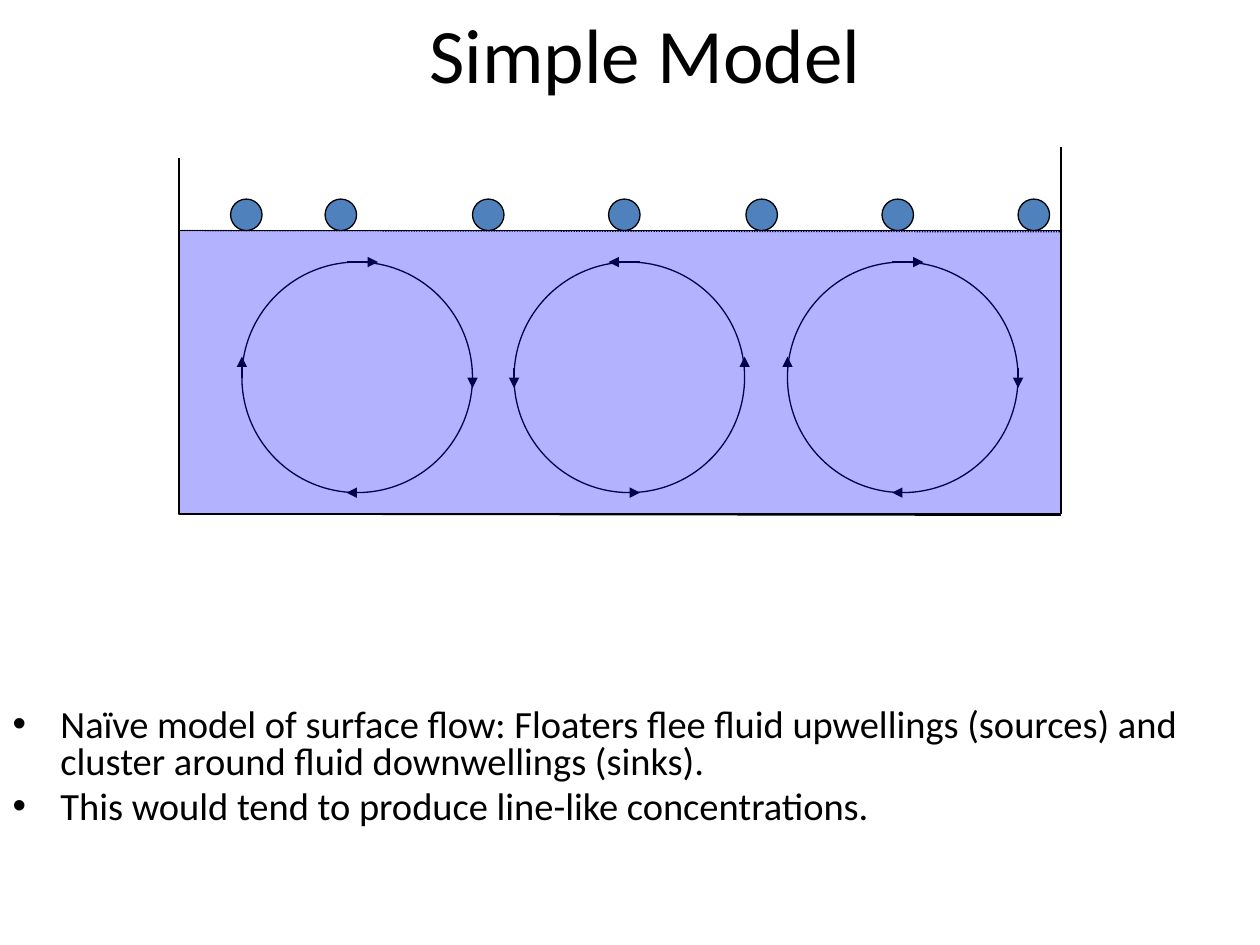
"""Build a slide on floaters drifting over convection cells in a tank."""
from dataclasses import dataclass

import lxml.etree
import pptx
import pptx.dml.color
import pptx.enum.dml
import pptx.enum.shapes
import pptx.enum.text
import pptx.oxml.ns
import pptx.util
from pptx.util import Inches

BLACK = pptx.dml.color.RGBColor(0x00, 0x00, 0x00)
FLOATER_BLUE = pptx.dml.color.RGBColor(0x4F, 0x81, 0xBD)
WATER_BLUE = pptx.dml.color.RGBColor(0x00, 0x00, 0xFF)

OVAL = pptx.enum.shapes.MSO_SHAPE.OVAL
RECTANGLE = pptx.enum.shapes.MSO_SHAPE.RECTANGLE

TANK_LEFT, TANK_RIGHT = 1.42, 8.42
SURFACE, FLOOR = 1.83, 4.08
FLOATER_SIZE = 0.25
CELL_TOP, CELL_SIZE = 2.08, 1.83


@dataclass(frozen=True)
class Segment:
    """A straight line in inches."""

    x1: float
    y1: float
    x2: float
    y2: float
    arrow: bool = False
    dotted: bool = False


@dataclass(frozen=True)
class Cell:
    """A convection cell and its sense of rotation."""

    left: float
    clockwise: bool


WALLS = [
    Segment(TANK_LEFT, 1.25, TANK_LEFT, FLOOR),
    Segment(TANK_LEFT, FLOOR, TANK_RIGHT, FLOOR + 0.01),
    Segment(TANK_RIGHT, FLOOR, TANK_RIGHT, 1.17),
    Segment(TANK_LEFT, SURFACE, TANK_RIGHT, SURFACE + 0.01, dotted=True),
]
CELLS = [Cell(1.92, True), Cell(4.08, False), Cell(6.25, True)]
CLOCKWISE_FLOW = [
    Segment(0.83, 0, 1.08, 0),
    Segment(0, 0.92, 0, 0.75),
    Segment(CELL_SIZE, 0.84, CELL_SIZE, 1),
    Segment(1, CELL_SIZE, 0.83, CELL_SIZE),
]
FLOATER_LEFTS = [1.83, 2.58, 3.75, 4.83, 5.92, 7, 8.08]
STATEMENTS = [
    "Naïve model of surface flow: Floaters flee fluid upwellings (sources) "
    "and cluster around fluid downwellings (sinks).",
    "This would tend to produce line-like concentrations.",
]


def add_element(parent, tag: str, **attributes: str) -> None:
    """Append a DrawingML element to a parent."""
    lxml.etree.SubElement(parent, pptx.oxml.ns.qn(tag), attributes)


def draw_segment(shapes, segment: Segment) -> None:
    """Draw one thin black line, with an arrowhead or dots if asked."""
    connector = shapes.add_connector(
        pptx.enum.shapes.MSO_CONNECTOR.STRAIGHT,
        Inches(segment.x1), Inches(segment.y1),
        Inches(segment.x2), Inches(segment.y2),
    )
    connector.line.color.rgb = BLACK
    connector.line.width = pptx.util.Pt(0.75)
    properties = connector._element.spPr
    if segment.dotted:
        connector.line.dash_style = pptx.enum.dml.MSO_LINE.ROUND_DOT
    if segment.arrow:
        outline = properties.find(pptx.oxml.ns.qn("a:ln"))
        add_element(outline, "a:tailEnd", type="triangle")
    add_element(properties, "a:effectLst")


def draw_shape(shapes, preset, left: float, top: float, width: float,
               height: float, fill=None):
    """Draw one outlined shape, hollow unless a fill is given."""
    shape = shapes.add_shape(
        preset, Inches(left), Inches(top), Inches(width), Inches(height))
    shape.shadow.inherit = False
    shape.line.color.rgb = BLACK
    shape.line.width = pptx.util.Pt(0.75)
    if fill is None:
        shape.fill.background()
    else:
        shape.fill.solid()
        shape.fill.fore_color.rgb = fill
    return shape


def draw_cell(shapes, cell: Cell) -> None:
    """Draw a grouped circle with four arrows showing its flow."""
    parts = shapes.add_group_shape().shapes
    draw_shape(parts, OVAL, cell.left, CELL_TOP, CELL_SIZE, CELL_SIZE)

    def across(x: float) -> float:
        return cell.left + (x if cell.clockwise else CELL_SIZE - x)

    for flow in CLOCKWISE_FLOW:
        draw_segment(parts, Segment(
            across(flow.x1), CELL_TOP + flow.y1,
            across(flow.x2), CELL_TOP + flow.y2, arrow=True))


def draw_water(shapes) -> None:
    """Cover the tank with a translucent body of water."""
    water = draw_shape(shapes, RECTANGLE, TANK_LEFT, SURFACE,
                       TANK_RIGHT - TANK_LEFT, FLOOR - SURFACE, WATER_BLUE)
    color = water._element.spPr.find(
        pptx.oxml.ns.qn("a:solidFill") + "/" + pptx.oxml.ns.qn("a:srgbClr"))
    add_element(color, "a:alpha", val="30000")


def place(placeholder, top: float, height: float, anchor) -> None:
    """Stretch a placeholder across the slide."""
    placeholder.left, placeholder.top = Inches(0), Inches(top)
    placeholder.width, placeholder.height = Inches(10), Inches(height)
    frame = placeholder.text_frame
    frame.word_wrap = True
    frame.auto_size = pptx.enum.text.MSO_AUTO_SIZE.NONE
    frame.vertical_anchor = anchor


def style_font(paragraph, size: float) -> None:
    """Give a paragraph the slide's black lettering."""
    paragraph.font.name = "Calibri"
    paragraph.font.size = pptx.util.Pt(size)
    paragraph.font.color.rgb = BLACK


def write_title(title) -> None:
    """Write the heading slightly right of centre."""
    place(title, 0, 0.84, pptx.enum.text.MSO_ANCHOR.MIDDLE)
    title.text_frame.margin_left = Inches(0.34)
    heading = title.text_frame.paragraphs[0]
    heading.text = "Simple Model"
    heading.alignment = pptx.enum.text.PP_ALIGN.CENTER
    style_font(heading, 44)


def write_statements(body) -> None:
    """Write the bulleted conclusions."""
    place(body, 5.58, 1.33, pptx.enum.text.MSO_ANCHOR.TOP)
    body.text_frame.text = "\n".join(STATEMENTS)
    for statement in body.text_frame.paragraphs:
        style_font(statement, 22)
        statement.line_spacing = 0.8
        statement.space_before = pptx.util.Pt(4.4)
        properties = statement._p.get_or_add_pPr()
        properties.set("marL", str(Inches(0.38)))
        properties.set("indent", str(Inches(-0.38)))


def main() -> None:
    """Assemble and save the slide."""
    deck = pptx.Presentation()
    deck.slide_width, deck.slide_height = Inches(10), Inches(7.5)
    slide = deck.slides.add_slide(deck.slide_layouts[1])
    for wall in WALLS:
        draw_segment(slide.shapes, wall)
    for cell in CELLS:
        draw_cell(slide.shapes, cell)
    for left in FLOATER_LEFTS:
        draw_shape(slide.shapes, OVAL, left, SURFACE - FLOATER_SIZE,
                   FLOATER_SIZE, FLOATER_SIZE, FLOATER_BLUE)
    draw_water(slide.shapes)
    write_title(slide.shapes.title)
    write_statements(slide.placeholders[1])
    deck.save("out.pptx")


if __name__ == "__main__":
    main()
